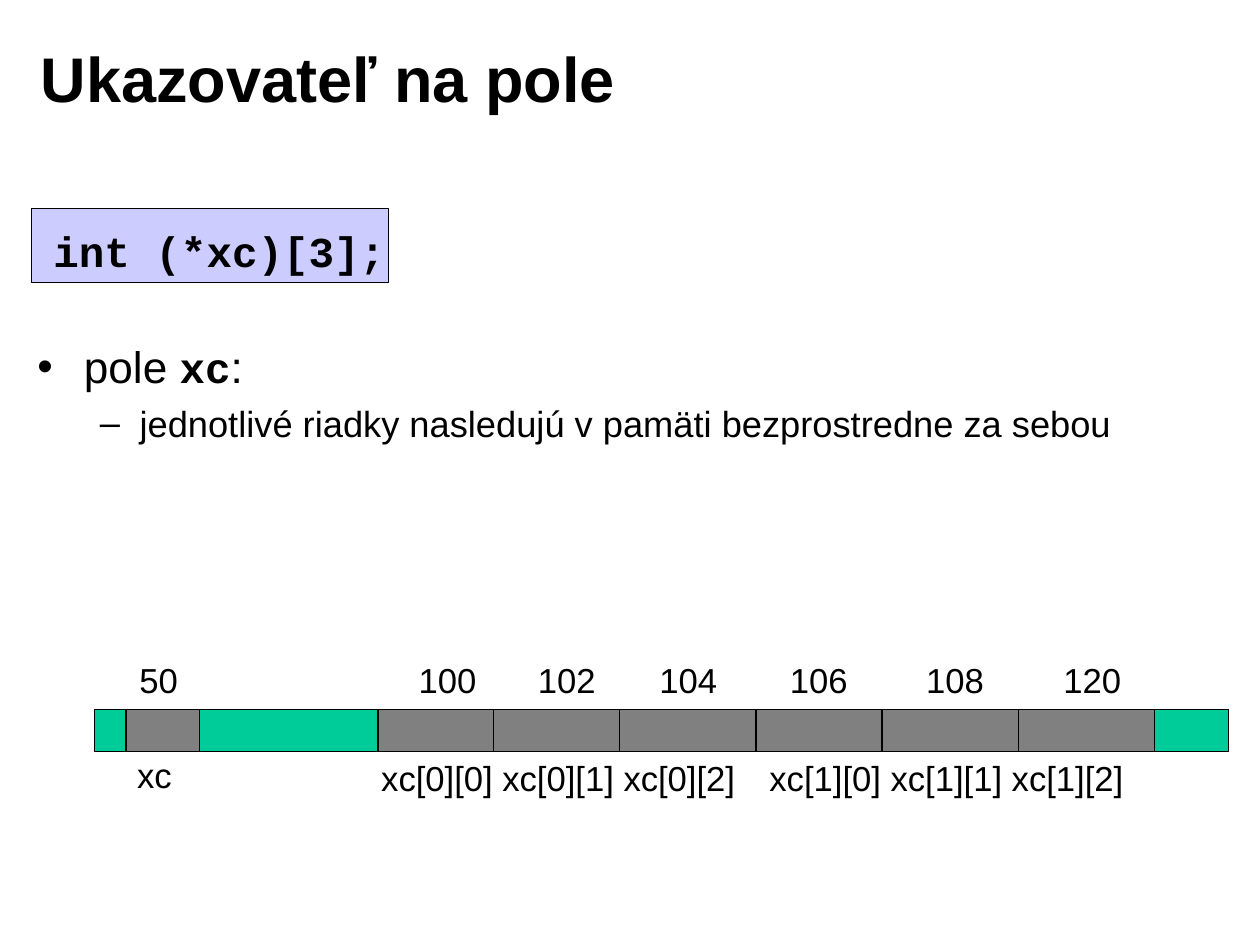
from lxml import etree
from pptx import Presentation
from pptx.dml.color import RGBColor
from pptx.enum.shapes import MSO_CONNECTOR as CONNECTOR, MSO_SHAPE as SHAPE
from pptx.enum.text import MSO_ANCHOR as ANCHOR, MSO_AUTO_SIZE as AUTO_SIZE, PP_ALIGN as ALIGN
from pptx.oxml.ns import qn
from pptx.util import Inches, Pt

BLACK = RGBColor(0x00, 0x00, 0x00)
GRAY = RGBColor(0x80, 0x80, 0x80)
GREEN = RGBColor(0x00, 0xCC, 0x99)
LILAC = RGBColor(0xCC, 0xCC, 0xFF)
SANS, MONO = "Arial", "Courier New"

MEMORY_TOP, MEMORY_HEIGHT = 6.25, 0.37
ADDRESS_TOP = 5.76
ARRAY_LEFT, ARRAY_WIDTH = 3.33, 6.84
# Left and width of each block around the array
BLOCKS = [(0.83, 0.28, GREEN), (1.11, 0.65, GRAY), (1.76, 1.57, GREEN), (10.17, 0.65, GREEN)]
CELL_BORDERS = [4.35, 5.46, 6.66, 7.77, 8.97]
ADDRESSES = [("100", 3.59), ("102", 4.64), ("104", 5.71),
             ("106", 6.86), ("108", 8.06), ("120", 9.27)]


def style_font(font, size, name=SANS, bold=False):
    font.size = Pt(size)
    font.name = name
    font.bold = bold
    font.color.rgb = BLACK


def set_margins(frame, horizontal, vertical):
    frame.margin_left = frame.margin_right = Inches(horizontal)
    frame.margin_top = frame.margin_bottom = Inches(vertical)


def add_block(slide, left, top, width, height, color):
    block = slide.shapes.add_shape(
        SHAPE.RECTANGLE, Inches(left), Inches(top), Inches(width), Inches(height))
    block.shadow.inherit = False
    block.fill.solid()
    block.fill.fore_color.rgb = color
    block.line.color.rgb = BLACK
    block.line.width = Pt(0.75)


def add_border(slide, x):
    border = slide.shapes.add_connector(
        CONNECTOR.STRAIGHT, Inches(x), Inches(MEMORY_TOP),
        Inches(x), Inches(MEMORY_TOP + MEMORY_HEIGHT))
    border.line.color.rgb = BLACK
    border.line.width = Pt(0.75)
    etree.SubElement(border._element.spPr, qn("a:effectLst"))


def add_label(slide, text, left, top, width, height=0.47, size=22, name=SANS,
              bold=False, margins=(0.1, 0.05)):
    label = slide.shapes.add_textbox(
        Inches(left), Inches(top), Inches(width), Inches(height))
    frame = label.text_frame
    frame.word_wrap = False
    frame.auto_size = AUTO_SIZE.SHAPE_TO_FIT_TEXT
    set_margins(frame, *margins)
    frame.text = text
    style_font(frame.paragraphs[0].runs[0].font, size, name, bold)


def set_bullet(paragraph, char, left, hanging):
    properties = paragraph._p.get_or_add_pPr()
    properties.set("marL", str(Inches(left)))
    properties.set("indent", str(-Inches(hanging)))
    etree.SubElement(properties, qn("a:buFont"), typeface=SANS)
    etree.SubElement(properties, qn("a:buChar"), char=char)


def add_title(slide, text):
    title = slide.shapes.title
    title.left, title.top = Inches(0.25), Inches(0.17)
    title.width, title.height = Inches(8.91), Inches(1.02)
    frame = title.text_frame
    frame.text = text
    frame.vertical_anchor = ANCHOR.MIDDLE
    set_margins(frame, 0.11, 0.06)
    heading = frame.paragraphs[0]
    heading.alignment = ALIGN.LEFT
    style_font(heading.runs[0].font, 40, bold=True)


def add_explanation(slide):
    explanation = slide.shapes.add_textbox(
        Inches(0.22), Inches(2.93), Inches(10.66), Inches(1.22))
    frame = explanation.text_frame
    frame.word_wrap = True
    set_margins(frame, 0.11, 0.06)

    array_point = frame.paragraphs[0]
    set_bullet(array_point, "•", 0.41, 0.41)
    for text, size, name, bold in [("pole ", 28, SANS, False),
                                   ("xc", 27, MONO, True),
                                   (":", 28, SANS, False)]:
        run = array_point.add_run()
        run.text = text
        style_font(run.font, size, name, bold)

    rows_point = frame.add_paragraph()
    rows_point.text = "jednotlivé riadky nasledujú v pamäti bezprostredne za sebou"
    rows_point.level = 1
    set_bullet(rows_point, "–", 0.9, 0.35)
    rows_point.space_before = Pt(5.8)
    style_font(rows_point.runs[0].font, 23)


def add_memory(slide):
    # Array cells and the memory around them
    add_block(slide, ARRAY_LEFT, MEMORY_TOP, ARRAY_WIDTH, MEMORY_HEIGHT, GRAY)
    for x in CELL_BORDERS:
        add_border(slide, x)
    for left, width, color in BLOCKS:
        add_block(slide, left, MEMORY_TOP, width, MEMORY_HEIGHT, color)

    # Addresses above
    add_label(slide, "50", 1.13, ADDRESS_TOP, 0.54)
    for address, left in ADDRESSES:
        add_label(slide, address, left, ADDRESS_TOP, 0.71)

    # Names below
    add_label(slide, "xc", 1.11, 6.59, 0.52)
    for row, left in enumerate([3.26, 6.68]):
        names = " ".join(f"xc[{row}][{column}]" for column in range(3))
        add_label(slide, names, left, 6.62, 3.32)


def main():
    deck = Presentation()
    deck.slide_width, deck.slide_height = Inches(11.1), Inches(8.3)
    slide = deck.slides.add_slide(deck.slide_layouts[5])

    add_title(slide, "Ukazovateľ na pole")
    add_explanation(slide)
    add_memory(slide)

    # Declaration
    add_block(slide, 0.28, 1.84, 3.14, 0.65, LILAC)
    add_label(slide, "int (*xc)[3];", 0.36, 1.92, 3.15, 0.56, 27, MONO, True, (0.11, 0.06))

    deck.save("out.pptx")


if __name__ == "__main__":
    main()
